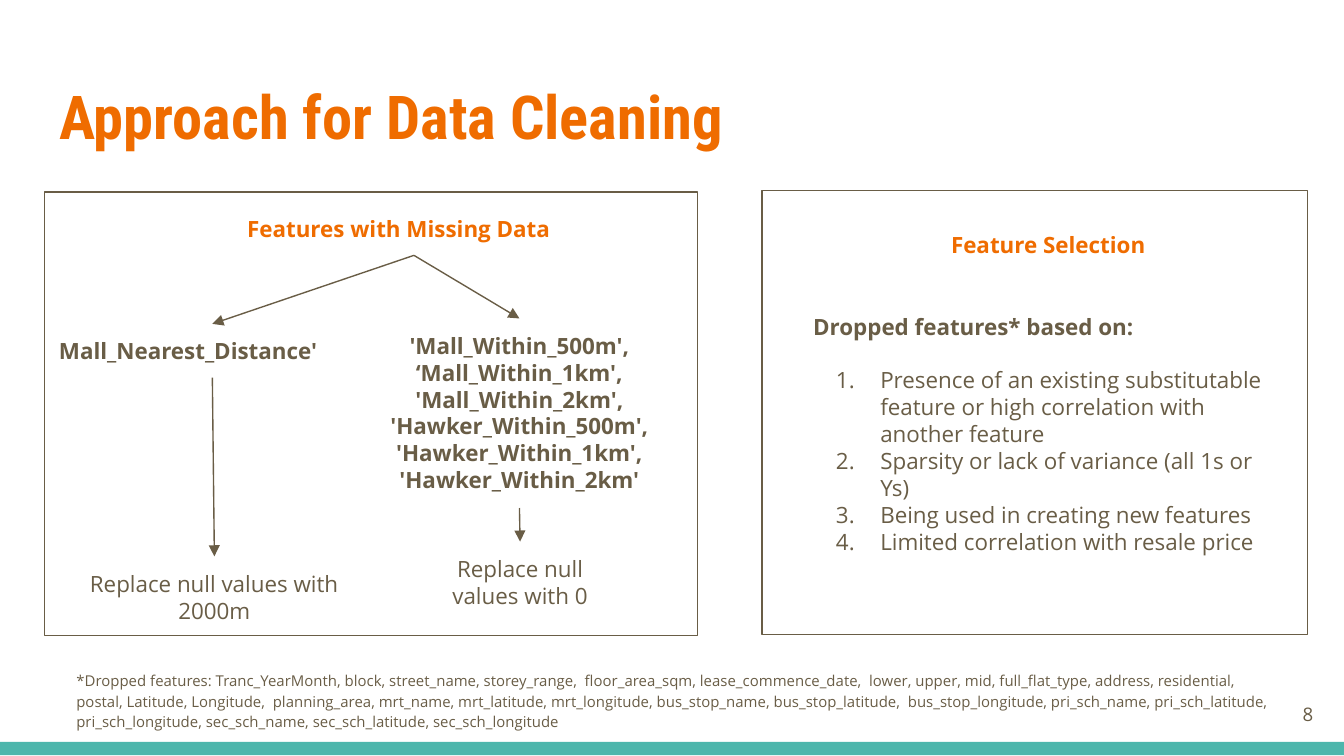
from dataclasses import dataclass

from lxml.etree import SubElement
from pptx import Presentation
from pptx.dml.color import RGBColor
from pptx.enum.shapes import MSO_CONNECTOR as Connector, MSO_SHAPE as Shape
from pptx.enum.text import MSO_ANCHOR as Anchor, PP_ALIGN as Align
from pptx.oxml.ns import qn
from pptx.util import Inches, Pt


@dataclass(frozen=True)
class Theme:
    orange: RGBColor = RGBColor(0xEF, 0x6C, 0x00)
    brown: RGBColor = RGBColor(0x69, 0x5D, 0x46)
    teal: RGBColor = RGBColor(0x4D, 0xB6, 0xAC)
    title_font: str = "Roboto Condensed"
    body_font: str = "Open Sans"
    title_size: float = 32.4
    body_size: float = 12
    number_size: float = 10
    note_size: float = 8
    line_width: float = 0.75


THEME = Theme()
BOTTOM, TOP = 2, 0

CRITERIA = [
    "Presence of an existing substitutable feature or high correlation with another feature",
    "Sparsity or lack of variance (all 1s or Ys)",
    "Being used in creating new features",
    "Limited correlation with resale price",
]
DROPPED = (
    "*Dropped features: Tranc_YearMonth, block, street_name, storey_range,  floor_area_sqm, "
    "lease_commence_date,  lower, upper, mid, full_flat_type, address, residential, postal, "
    "Latitude, Longitude,  planning_area, mrt_name, mrt_latitude, mrt_longitude, bus_stop_name, "
    "bus_stop_latitude,  bus_stop_longitude, pri_sch_name, pri_sch_latitude, pri_sch_longitude, "
    "sec_sch_name, sec_sch_latitude, sec_sch_longitude"
)


def place(shape, left, top, width, height):
    shape.left, shape.top = Inches(left), Inches(top)
    shape.width, shape.height = Inches(width), Inches(height)


def set_frame(frame, anchor=Anchor.TOP):
    frame.word_wrap = True
    frame.vertical_anchor = anchor
    frame.margin_left = frame.margin_right = Inches(0.1)
    frame.margin_top = frame.margin_bottom = Inches(0.1)


def style(paragraph, size=THEME.body_size, color=THEME.brown, bold=False,
          align=Align.LEFT, name=THEME.body_font):
    paragraph.alignment = align
    paragraph.space_before = Pt(0)
    font = paragraph.font
    font.name, font.size, font.bold = name, Pt(size), bold
    font.color.rgb = color


def add_text(slide, box, text, anchor=Anchor.TOP, line_spacing=1.0, **look):
    shape = slide.shapes.add_textbox(*map(Inches, box))
    set_frame(shape.text_frame, anchor)
    shape.text_frame.text = text
    for paragraph in shape.text_frame.paragraphs:
        style(paragraph, **look)
        paragraph.line_spacing = line_spacing
    return shape


def add_rectangle(slide, box, fill=None):
    shape = slide.shapes.add_shape(Shape.RECTANGLE, *map(Inches, box))
    shape.shadow.inherit = False
    if fill is None:
        shape.fill.background()
        shape.line.color.rgb = THEME.brown
        shape.line.width = Pt(THEME.line_width)
    else:
        shape.fill.solid()
        shape.fill.fore_color.rgb = fill
        shape.line.fill.background()


def add_arrow(slide, source, target):
    arrow = slide.shapes.add_connector(Connector.STRAIGHT, 0, 0, 0, 0)
    arrow.begin_connect(source, BOTTOM)
    arrow.end_connect(target, TOP)
    arrow.line.color.rgb = THEME.brown
    arrow.line.width = Pt(THEME.line_width)
    properties = arrow._element.spPr
    SubElement(properties.find(qn("a:ln")), qn("a:tailEnd"), type="triangle")
    SubElement(properties, qn("a:effectLst"))


def set_bullet(paragraph, margin=0.0, indent=0.0, numbered=False):
    properties = paragraph._p.get_or_add_pPr()
    properties.set("marL", str(Inches(margin)))
    properties.set("indent", str(Inches(indent)))
    if numbered:
        SubElement(properties, qn("a:buFont"), typeface=THEME.body_font)
        SubElement(properties, qn("a:buAutoNum"), type="arabicPeriod")
    else:
        SubElement(properties, qn("a:buNone"))


def fill_title(slide):
    title = slide.shapes.title
    place(title, 0.34, 0.49, 9.32, 0.77)
    set_frame(title.text_frame)
    title.text_frame.text = "Approach for Data Cleaning"
    style(title.text_frame.paragraphs[0], THEME.title_size, THEME.orange, True,
          name=THEME.title_font)


def fill_criteria(slide):
    body = slide.placeholders[1]
    place(body, 5.95, 2.23, 3.58, 2.02)
    set_frame(body.text_frame)
    body.text_frame.text = "\n".join(["Dropped features* based on:", *CRITERIA])
    lead, *items = body.text_frame.paragraphs
    style(lead, bold=True)
    lead.space_after = Pt(14.2)
    set_bullet(lead)
    for item in items:
        style(item)
        set_bullet(item, 0.5, -0.33, numbered=True)


def add_missing_data_flow(slide):
    heading = add_text(slide, (1.74, 1.5, 2.68, 0.4), "Features with Missing Data",
                       color=THEME.orange, bold=True)
    distance = add_text(slide, (0.34, 2.41, 2.48, 0.4), "Mall_Nearest_Distance'", bold=True)
    counts = add_text(
        slide, (2.6, 2.37, 2.53, 1.41),
        "'Mall_Within_500m', ‘Mall_Within_1km',\n"
        "'Mall_Within_2km', 'Hawker_Within_500m', 'Hawker_Within_1km', 'Hawker_Within_2km'",
        bold=True, align=Align.CENTER)
    fill_distance = add_text(slide, (0.33, 4.14, 2.53, 0.61),
                             "Replace null values with 2000m", align=Align.CENTER)
    fill_counts = add_text(slide, (3.1, 4.03, 1.54, 0.61),
                           "Replace null values with 0", align=Align.CENTER)
    for source, target in [(heading, distance), (heading, counts),
                           (distance, fill_distance), (counts, fill_counts)]:
        add_arrow(slide, source, target)


def main():
    presentation = Presentation()
    presentation.slide_width = Inches(10)
    presentation.slide_height = Inches(10) * 9 // 16
    slide = presentation.slides.add_slide(presentation.slide_layouts[1])

    add_rectangle(slide, (0, 5.52, 10, 0.1), THEME.teal)
    add_rectangle(slide, (5.67, 1.42, 4.06, 3.3))
    add_rectangle(slide, (0.33, 1.43, 4.86, 3.3))
    fill_title(slide)
    add_missing_data_flow(slide)
    add_text(slide, (6.46, 1.62, 2.68, 0.4), "Feature Selection",
             color=THEME.orange, bold=True, align=Align.CENTER)
    fill_criteria(slide)
    add_text(slide, (0.47, 4.88, 9.14, 0.65), DROPPED, line_spacing=1.15, size=THEME.note_size)
    add_text(slide, (9.27, 5.1, 0.6, 0.43), "8", Anchor.MIDDLE,
             size=THEME.number_size, align=Align.RIGHT)
    presentation.save("out.pptx")


if __name__ == "__main__":
    main()
